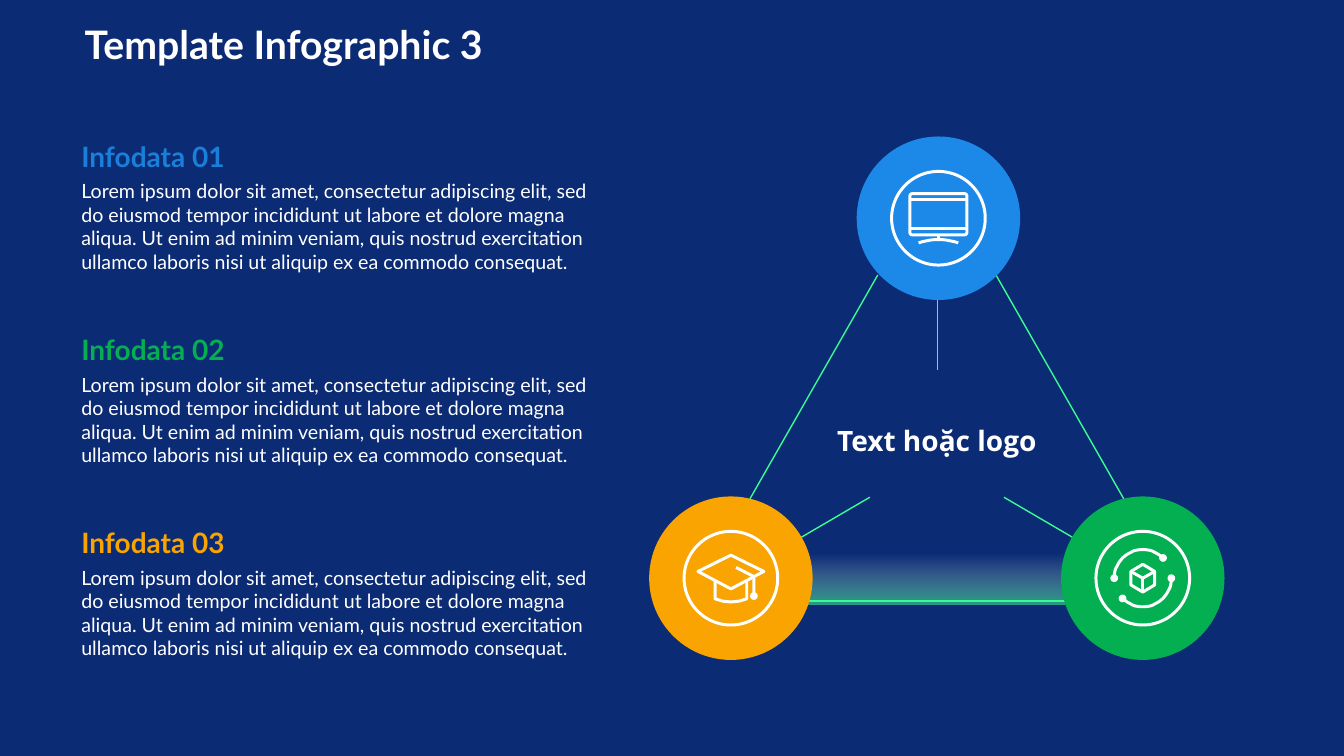
import math
from lxml import etree
from pptx import Presentation, util as u
from pptx.dml.color import RGBColor
from pptx.enum import shapes, text
from pptx.oxml import parse_xml
from pptx.oxml.ns import nsdecls, qn

NAVY, WHITE, MINT = "0C2B75", "FFFFFF", "3BFC91"
BLUE, GREEN, ORANGE = "1C89E9", "03AF50", "F9A401"
LOREM = ("Lorem ipsum dolor sit amet, consectetur adipiscing elit, sed do eiusmod tempor "
         "incididunt ut labore et dolore magna aliqua. Ut enim ad minim veniam, quis nostrud "
         "exercitation ullamco laboris nisi ut aliquip ex ea commodo consequat.")


def rgb(code):
    return RGBColor.from_string(code)


def style(item, fill=None, line=None, weight=2.13):
    if hasattr(item, "fill"):
        if fill:
            item.fill.solid()
            item.fill.fore_color.rgb = rgb(fill)
        else:
            item.fill.background()
    if line:
        item.line.color.rgb = rgb(line)
        item.line.width = u.Pt(weight)
    else:
        item.line.fill.background()
    etree.SubElement(item._element.spPr, qn("a:effectLst"))


deck = Presentation()
deck.slide_width, deck.slide_height = u.Cm(33.87), u.Cm(19.05)
slide = deck.slides.add_slide(deck.slide_layouts[5])
slide.background.fill.solid()
slide.background.fill.fore_color.rgb = rgb(NAVY)

heading = slide.shapes.title
heading.left, heading.top, heading.width, heading.height = u.Cm(1.88), u.Cm(0.46), u.Cm(22.76), u.Cm(1.42)
heading.text_frame.vertical_anchor = text.MSO_ANCHOR.MIDDLE
heading_line = heading.text_frame.paragraphs[0]
heading_line.alignment = text.PP_ALIGN.LEFT
heading_line.line_spacing = 0.9
heading_run = heading_line.add_run()
heading_run.text = "Template Infographic 3"
heading_run.font.name, heading_run.font.size, heading_run.font.bold = "Lato", u.Pt(28), True
heading_run.font.color.rgb = rgb(WHITE)

glow = slide.shapes.add_shape(shapes.MSO_SHAPE.ISOSCELES_TRIANGLE, u.Cm(17.37), u.Cm(4.45), u.Cm(12.5), u.Cm(10.77))
style(glow)
glow_props = glow._element.spPr
glow_props.replace(glow_props.find(qn("a:noFill")), parse_xml(
    f'<a:gradFill {nsdecls("a")} rotWithShape="1"><a:gsLst>'
    f'<a:gs pos="76000"><a:srgbClr val="{WHITE}"><a:alpha val="0"/></a:srgbClr></a:gs>'
    f'<a:gs pos="100000"><a:srgbClr val="{MINT}"><a:alpha val="55000"/></a:srgbClr></a:gs>'
    '</a:gsLst><a:path path="shape"><a:fillToRect l="50000" t="50000" r="50000" b="50000"/>'
    '</a:path></a:gradFill>'))

spokes = [
    (22.12, 6.93, 18.9, 12.57), (28.32, 12.57, 25.1, 6.93), (20.4, 15.14, 26.85, 15.14),
    (23.62, 9.32, 23.62, 7.57), (27.03, 13.54, 25.3, 12.53), (20.19, 13.54, 21.92, 12.53),
]
for ends in spokes:
    spoke = slide.shapes.add_connector(shapes.MSO_CONNECTOR.STRAIGHT, *[u.Cm(v) for v in ends])
    style(spoke, line=MINT, weight=1)

stand = [(x / 10, 0.54 + 0.08 * (x / 5) ** 2) for x in range(-5, 6)]
monitor = [[(-0.72, -0.47), (0.72, -0.47)], [(-0.72, 0.27), (0.72, 0.27)], [(0, 0.42), (0, 0.54)], stand]

brim = [(0, 0.27), (-0.83, -0.17), (0, -0.58), (0.83, -0.17), (0, 0.27)]
bowl = [(x / 10, 0.6 - 0.08 * (x / 4) ** 2) for x in range(-4, 5)]
bowl = [(-0.4, 0.06)] + bowl + [(0.4, 0.06)]
cap = [brim, bowl, [(0.13, -0.27), (0.58, -0.04), (0.58, 0.39)]]

orbits = [[(0.72 * math.cos(math.radians(a)), 0.72 * math.sin(math.radians(a)))
           for a in range(start, start + 131, 5)] for start in (5, 185)]
cube = [(0.35 * math.sin(math.radians(a)), 0.35 * math.cos(math.radians(a))) for a in range(0, 361, 60)]
network = orbits + [cube, [(-0.3, -0.17), (0, 0), (0.3, -0.17)], [(0, 0), (0, 0.36)]]
nodes = [(0.72, 0), (-0.51, 0.51), (-0.72, 0), (0.51, -0.51)]

badges = [
    (23.65, 5.5, BLUE, monitor, []),
    (18.42, 14.57, ORANGE, cap, [(0.58, 0.45)]),
    (28.8, 14.57, GREEN, network, nodes),
]
for cx, cy, colour, strokes, dots in badges:
    badge = slide.shapes.add_group_shape().shapes
    rounds = [(0, 0, 2.06, colour, None, 0), (0, 0, 1.18, None, WHITE, 2.13)]
    rounds += [(x, y, 0.08, WHITE, WHITE, 1) for x, y in dots]
    for x, y, radius, fill, line, weight in rounds:
        disc = badge.add_shape(shapes.MSO_SHAPE.OVAL, u.Cm(cx + x - radius), u.Cm(cy + y - radius),
                               u.Cm(2 * radius), u.Cm(2 * radius))
        style(disc, fill, line, weight)
    if strokes is monitor:
        screen = badge.add_shape(shapes.MSO_SHAPE.ROUNDED_RECTANGLE, u.Cm(cx - 0.72), u.Cm(cy - 0.62),
                                 u.Cm(1.44), u.Cm(1.04))
        screen.adjustments[0] = 0.06
        style(screen, line=WHITE)
    for stroke in strokes:
        points = [(cx + x, cy + y) for x, y in stroke]
        if len(points) == 2:
            mark = badge.add_connector(shapes.MSO_CONNECTOR.STRAIGHT, *[u.Cm(v) for p in points for v in p])
        else:
            trail = [(100 * x, 100 * y) for x, y in points]
            outline = badge.build_freeform(*trail[0], scale=u.Cm(0.01))
            outline.add_line_segments(trail[1:], close=stroke[0] == stroke[-1])
            mark = outline.convert_to_shape()
        style(mark, line=WHITE)

captions = [("Text hoặc logo", 20.09, 10.64, 7.04, 1.5, 20, "Open Sans", WHITE, True, text.PP_ALIGN.CENTER)]
for i, colour in enumerate(["1A7FD8", GREEN, ORANGE]):
    top = 3.48 + 4.87 * i
    captions += [
        (f"Infodata 0{i + 1}", 1.8, top, 7.04, 1.5, 20, "Lato", colour, True, text.PP_ALIGN.LEFT),
        (LOREM, 1.8, top + 0.91, 13.36, 2.29, 14, "Lato", WHITE, False, text.PP_ALIGN.LEFT),
    ]
for words, left, top, width, height, size, face, colour, bold, align in captions:
    caption = slide.shapes.add_textbox(u.Cm(left), u.Cm(top), u.Cm(width), u.Cm(height)).text_frame
    caption.word_wrap = True
    line = caption.paragraphs[0]
    line.alignment = align
    line.line_spacing = 0.9 if bold else 1.0
    run = line.add_run()
    run.text = words
    run.font.name, run.font.size, run.font.bold = face, u.Pt(size), bold
    run.font.color.rgb = rgb(colour)

deck.save("out.pptx")
